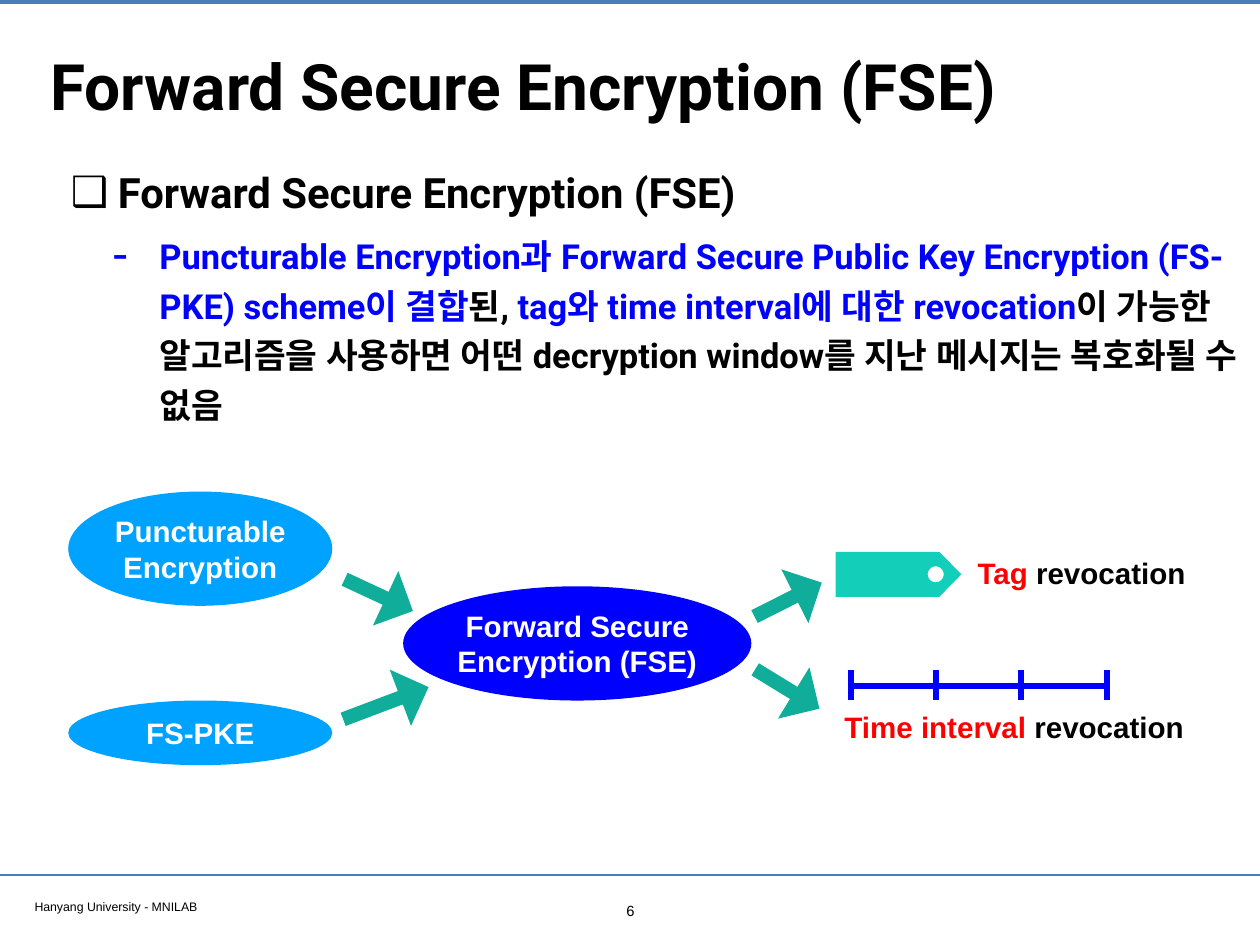
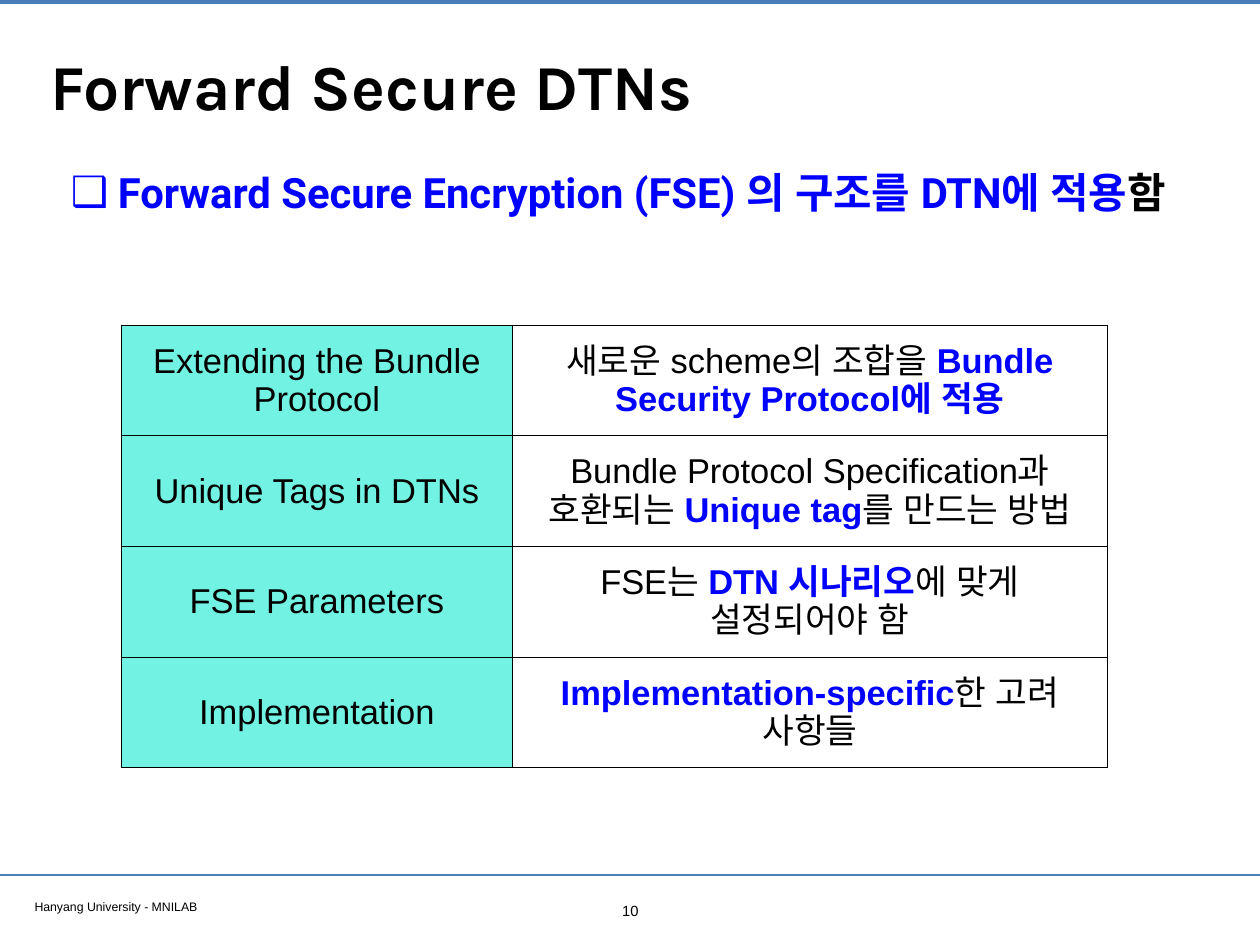
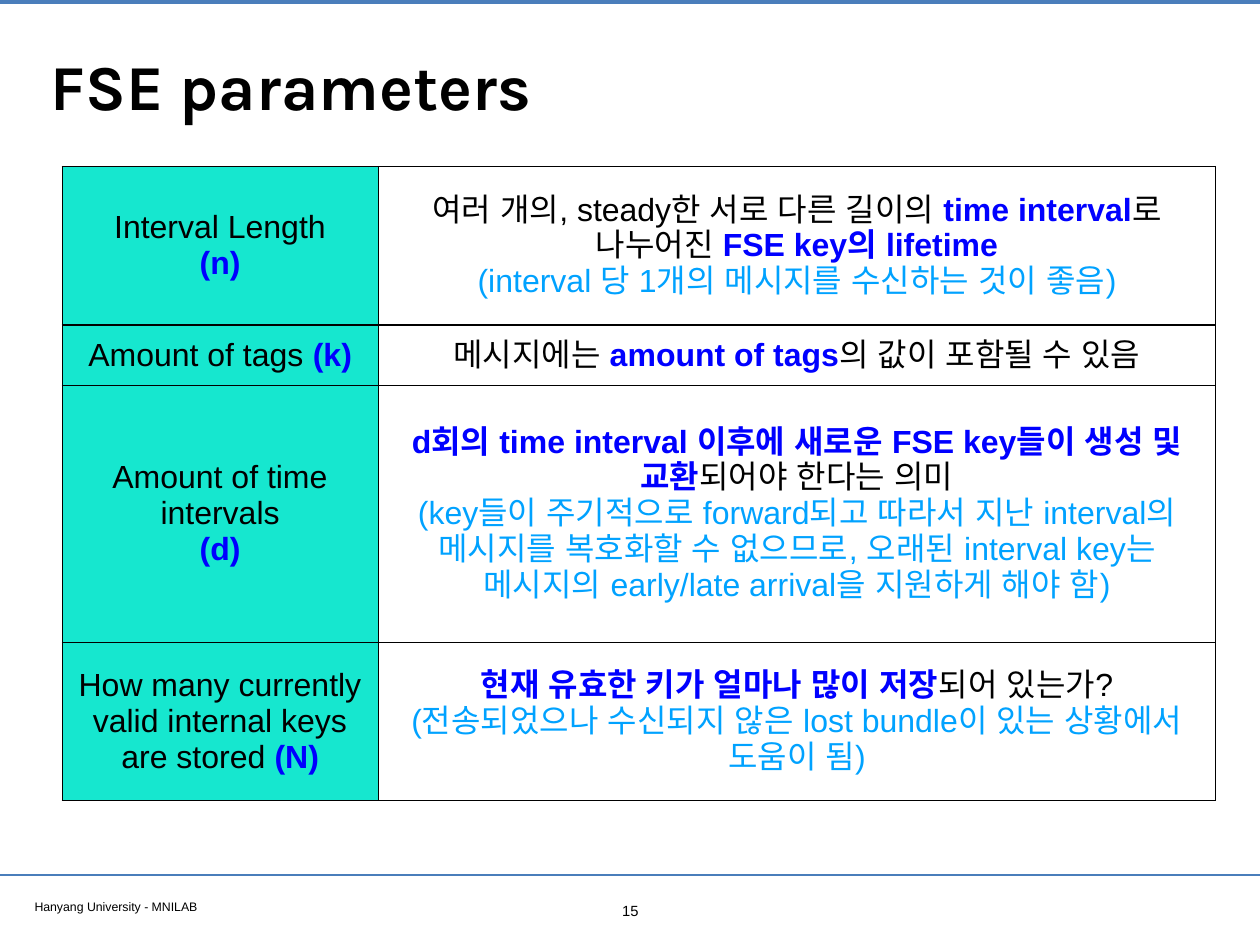
import math

from lxml import etree
from pptx import Presentation
from pptx import util as u
from pptx.dml.color import RGBColor
from pptx.enum import shapes, text
from pptx.oxml import ns

BLACK = RGBColor(0x00, 0x00, 0x00)
WHITE = RGBColor(0xFF, 0xFF, 0xFF)
BLUE = RGBColor(0x00, 0x00, 0xFF)
SKY = RGBColor(0x00, 0xA2, 0xFF)
RED = RGBColor(0xFF, 0x00, 0x00)
RULE = RGBColor(0x4A, 0x7E, 0xBB)
ARROW = RGBColor(0x10, 0xAD, 0x9B)
TAG = RGBColor(0x13, 0xCF, 0xB9)
PALE_TEAL = RGBColor(0x72, 0xF2, 0xE3)
TEAL = RGBColor(0x16, 0xE7, 0xCF)

PAGE_WIDTH, PAGE_HEIGHT = 14.22, 10.67
INSET = 0.06
LEFT, CENTER = text.PP_ALIGN.LEFT, text.PP_ALIGN.CENTER
TOP, MIDDLE = text.MSO_ANCHOR.TOP, text.MSO_ANCHOR.MIDDLE


def inches(*lengths):
    return [u.Inches(length) for length in lengths]


def add_spans(para, spans, size, font="Arial", bold=None):
    for words, color in spans:
        span = para.add_run()
        span.text = words
        span.font.size = u.Pt(size)
        span.font.name = font
        etree.SubElement(span._r.get_or_add_rPr(), ns.qn("a:ea"), typeface=font)
        span.font.bold = color == BLUE if bold is None else bold
        span.font.color.rgb = color


def write(frame, paragraphs, size, font="Arial", bold=None, align=CENTER):
    for index, spans in enumerate(paragraphs):
        para = frame.add_paragraph() if index else frame.paragraphs[0]
        para.alignment = align
        add_spans(para, spans, size, font, bold)


def set_frame(frame, anchor=MIDDLE, wrap=True):
    frame.word_wrap = wrap
    frame.vertical_anchor = anchor
    frame.margin_left = frame.margin_right = u.Inches(INSET)
    frame.margin_top = frame.margin_bottom = u.Inches(INSET)


def add_text(page, area, paragraphs, size, font="Arial", bold=False,
             align=LEFT, anchor=TOP, wrap=True):
    box = page.shapes.add_textbox(*inches(*area))
    set_frame(box.text_frame, anchor, wrap)
    write(box.text_frame, paragraphs, size, font, bold, align)


def add_line(page, start, end, color, width):
    line = page.shapes.add_connector(
        shapes.MSO_CONNECTOR.STRAIGHT, *inches(*start, *end))
    line.line.color.rgb = color
    line.line.width = u.Pt(width)
    etree.SubElement(line._element.spPr, ns.qn("a:effectLst"))


def paint(shape, color):
    shape.shadow.inherit = False
    shape.fill.solid()
    shape.fill.fore_color.rgb = color
    shape.line.fill.background()


def add_page(deck, title, number, title_font="Karla"):
    page = deck.slides.add_slide(deck.slide_layouts[6])
    for y, width in ((0.02, 3.2), (9.88, 2)):
        add_line(page, (0, y), (PAGE_WIDTH, y), RULE, width)
    add_text(page, (0.33, 10.09, 5.46, 0.26),
             [[("Hanyang University - MNILAB", BLACK)]], 10)
    add_text(page, (6.92, 10.12, 0.39, 0.31), [[(str(number), BLACK)]], 12,
             align=CENTER)
    add_text(page, (0.51, 0.28, 13.21, 1.35), [[(title, BLACK)]], 52,
             title_font, bold=True, anchor=MIDDLE)
    return page


def add_bullets(page, area, items):
    levels = ((34, 0.53, 0.53, "❑", 100), (28, 1, 0.52, "-", 145))
    box = page.shapes.add_textbox(*inches(*area))
    set_frame(box.text_frame, TOP)
    for index, (level, spans) in enumerate(items):
        size, margin, hanging, mark, scale = levels[level]
        para = box.text_frame.add_paragraph() if index else box.text_frame.paragraphs[0]
        para.line_spacing = 1.2
        if index:
            para.space_before = u.Pt(8)
        properties = para._p.get_or_add_pPr()
        properties.set("marL", str(u.Inches(margin)))
        properties.set("indent", str(-u.Inches(hanging)))
        etree.SubElement(properties, ns.qn("a:buSzPct"), val=str(scale * 1000))
        etree.SubElement(properties, ns.qn("a:buFont"), typeface="Roboto")
        etree.SubElement(properties, ns.qn("a:buChar"), char=mark)
        add_spans(para, spans, size, "Roboto", True)


def add_ellipse(page, area, lines, color):
    ellipse = page.shapes.add_shape(shapes.MSO_SHAPE.OVAL, *inches(*area))
    paint(ellipse, color)
    set_frame(ellipse.text_frame, wrap=len(lines) == 1)
    write(ellipse.text_frame, [[(line, WHITE)] for line in lines], 24, bold=True)


def add_arrow(page, area, angle):
    arrow = page.shapes.add_shape(shapes.MSO_SHAPE.RIGHT_ARROW, *inches(*area))
    arrow.adjustments[0] = 0.236
    arrow.adjustments[1] = 0.5
    arrow.rotation = angle
    paint(arrow, ARROW)


def add_tag(page, left, top, width, height):
    shoulder, middle = left + width - 0.25, top + height / 2
    hole_x, radius, steps = left + width - 0.29, 0.09, 36
    outline = [(left, top), (shoulder, top), (left + width, middle),
               (shoulder, top + height), (left, top + height)]
    angles = [-2 * math.pi * step / steps for step in range(steps)]
    hole = [(hole_x + radius * math.cos(angle), middle + radius * math.sin(angle))
            for angle in angles]
    builder = page.shapes.build_freeform(*inches(*outline[0]))
    builder.add_line_segments([inches(*point) for point in outline[1:]])
    builder.move_to(*inches(*hole[0]))
    builder.add_line_segments([inches(*point) for point in hole[1:]])
    paint(builder.convert_to_shape(), TAG)


def add_timeline(page, left, top, width, height, intervals=3):
    axis = top + 0.18
    add_line(page, (left, axis), (left + width, axis), BLUE, 5)
    for index in range(intervals + 1):
        x = left + width * index / intervals
        add_line(page, (x, top), (x, top + height), BLUE, 5)


def add_scheme_diagram(page, left, top):
    def place(x, y, width, height):
        return left + x, top + y, width, height

    for area, lines, color in (
        (place(0, 0, 2.98, 1.29), ["Puncturable Encryption"], SKY),
        (place(0, 2.36, 2.98, 0.73), ["FS-PKE"], SKY),
        (place(3.78, 1.07, 3.93, 1.29), ["Forward Secure", "Encryption (FSE)"], BLUE),
    ):
        add_ellipse(page, area, lines, color)
    for x, y, width, angle in ((3.08, 0.83, 0.85, 25), (3.07, 2.05, 1.03, 339.3),
                               (7.7, 0.88, 0.85, 333.2), (7.69, 1.89, 0.85, 31.5)):
        add_arrow(page, place(x, y, width, 0.68), angle)
    add_tag(page, *place(8.66, 0.68, 1.42, 0.51))
    add_timeline(page, *place(8.83, 2.02, 2.89, 0.33))
    for area, subject in ((place(10.18, 0.66, 2.51, 0.52), "Tag "),
                          (place(8.66, 2.39, 4.03, 0.52), "Time interval ")):
        add_text(page, area, [[(subject, RED), ("revocation", BLACK)]], 24,
                 bold=True, align=CENTER, anchor=MIDDLE, wrap=False)


def add_borders(cell):
    properties = cell._tc.get_or_add_tcPr()
    for side in ("lnL", "lnR", "lnT", "lnB"):
        border = etree.SubElement(properties, ns.qn("a:" + side), w=str(u.Pt(1)))
        fill = etree.SubElement(border, ns.qn("a:solidFill"))
        etree.SubElement(fill, ns.qn("a:srgbClr"), val=str(BLACK))


def add_grid(page, left, top, widths, heights, rows, size, head_color):
    table = page.shapes.add_table(
        len(heights), len(widths),
        *inches(left, top, sum(widths), sum(heights))).table
    table.first_row = table.horz_banding = False
    for column, width in zip(table.columns, widths):
        column.width = u.Inches(width)
    for row, height, contents in zip(table.rows, heights, rows):
        row.height = u.Inches(height)
        for index, (cell, paragraphs) in enumerate(zip(row.cells, contents)):
            add_borders(cell)
            if index == 0:
                cell.fill.solid()
                cell.fill.fore_color.rgb = head_color
            else:
                cell.fill.background()
            cell.vertical_anchor = MIDDLE
            write(cell.text_frame, paragraphs, size)


def build_encryption_page(deck):
    page = add_page(deck, "Forward Secure Encryption (FSE)", 6, "Roboto")
    add_bullets(page, (0.74, 1.71, 13.35, 3.5), [
        (0, [("Forward Secure Encryption (FSE)", BLACK)]),
        (1, [("Puncturable Encryption과 Forward Secure Public Key Encryption "
              "(FS-PKE) scheme이 결합", BLUE),
             ("된, ", BLACK),
             ("tag와 time interval에 대한 revocation", BLUE),
             ("이 가능한 알고리즘을 사용하면 어떤 decryption window를 지난 "
              "메시지는 복호화될 수 없음", BLACK)]),
    ])
    add_scheme_diagram(page, 0.77, 5.55)


def build_network_page(deck):
    page = add_page(deck, "Forward Secure DTNs", 10)
    add_bullets(page, (0.74, 1.71, 13.35, 1.79), [
        (0, [("Forward Secure Encryption (FSE) 의 구조를 DTN에 적용", BLUE),
             ("함", BLACK)]),
    ])
    rows = [
        ([[("Extending the Bundle Protocol", BLACK)]],
         [[("새로운 scheme의 조합을 ", BLACK),
           ("Bundle Security Protocol에 적용", BLUE)]]),
        ([[("Unique Tags in DTNs", BLACK)]],
         [[("Bundle Protocol Specification과 호환되는 ", BLACK),
           ("Unique tag", BLUE), ("를 만드는 방법", BLACK)]]),
        ([[("FSE Parameters", BLACK)]],
         [[("FSE는 ", BLACK), ("DTN 시나리오", BLUE),
           ("에 맞게 설정되어야 함", BLACK)]]),
        ([[("Implementation", BLACK)]],
         [[("Implementation-specific", BLUE), ("한 고려 사항들", BLACK)]]),
    ]
    add_grid(page, 1.37, 3.67, (4.41, 6.72), [1.25] * 4, rows, 28, PALE_TEAL)


def build_parameters_page(deck):
    page = add_page(deck, "FSE parameters", 15)
    rows = [
        ([[("Interval Length", BLACK)], [("(n)", BLUE)]],
         [[("여러 개의, steady한 서로 다른 길이의 ", BLACK),
           ("time interval", BLUE), ("로 나누어진 ", BLACK),
           ("FSE key의 lifetime", BLUE)],
          [("(interval 당 1개의 메시지를 수신하는 것이 좋음)", SKY)]]),
        ([[("Amount of tags ", BLACK), ("(k)", BLUE)]],
         [[("메시지에는 ", BLACK), ("amount of tags", BLUE),
           ("의 값이 포함될 수 있음", BLACK)]]),
        ([[("Amount of time intervals", BLACK)], [("(d)", BLUE)]],
         [[("d회의 time interval 이후에 새로운 FSE key들이 생성 및 교환", BLUE),
           ("되어야 한다는 의미", BLACK)],
          [("(key들이 주기적으로 forward되고 따라서 지난 interval의 메시지를 "
            "복호화할 수 없으므로, 오래된 interval key는 메시지의 early/late "
            "arrival을 지원하게 해야 함)", SKY)]]),
        ([[("How many currently valid internal keys are stored ", BLACK),
           ("(N)", BLUE)]],
         [[("현재 유효한 키가 얼마나 많이 저장", BLUE), ("되어 있는가?", BLACK)],
          [("(전송되었으나 수신되지 않은 lost bundle이 있는 상황에서 "
            "도움이 됨)", SKY)]]),
    ]
    add_grid(page, 0.7, 1.88, (3.57, 9.45), (1.79, 0.68, 2.9, 1.79), rows, 26, TEAL)


def main():
    deck = Presentation()
    deck.slide_width, deck.slide_height = inches(PAGE_WIDTH, PAGE_HEIGHT)
    build_encryption_page(deck)
    build_network_page(deck)
    build_parameters_page(deck)
    deck.save("out.pptx")


if __name__ == "__main__":
    main()
